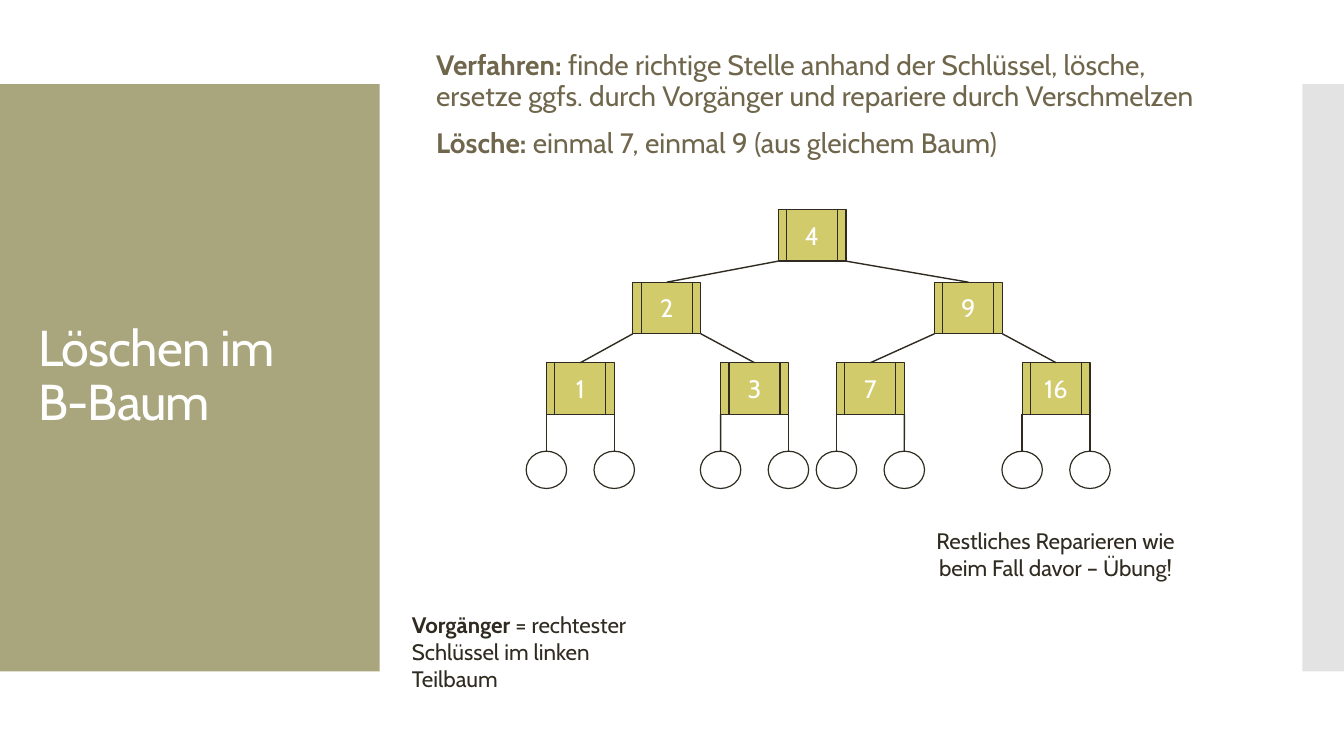
"""Builds the slide on deleting keys in a B-tree."""
from lxml import etree
from pptx import Presentation
from pptx.dml.color import RGBColor
from pptx.enum.shapes import MSO_CONNECTOR, MSO_SHAPE
from pptx.enum.text import MSO_ANCHOR, PP_ALIGN
from pptx.oxml.ns import qn
from pptx.util import Cm, Pt

RECTANGLE = MSO_SHAPE.RECTANGLE
KEY_BOX = MSO_SHAPE.FLOWCHART_PREDEFINED_PROCESS
CIRCLE = MSO_SHAPE.OVAL
STRAIGHT = MSO_CONNECTOR.STRAIGHT
TOP, MIDDLE = MSO_ANCHOR.TOP, MSO_ANCHOR.MIDDLE
LEFT, CENTER = PP_ALIGN.LEFT, PP_ALIGN.CENTER

COLORS = {
    "panel": "A9A57C", "strip": "C8C8C8", "key": "D2CB6C",
    "ink": "2F2B20", "intro": "6F664C", "white": "FFFFFF",
}
FONT = "Cabin"
KEY_W, KEY_H = 1.71, 1.3
LEAF_W, LEAF_H = 1.02, 0.94
LEVEL_TOPS = (5.28, 7.11, 9.14)
LEAF_TOP = 11.37
TREE = (
    "4", 19.61,
    ("2", 15.95, ("1", 13.77), ("3", 18.16)),
    ("9", 23.55, ("7", 21.08), ("16", 25.76)),
)


def rgb(name):
    return RGBColor.from_string(COLORS[name])


def write(frame, *paragraphs, size, color, align=LEFT, anchor=TOP,
          line_spacing=None, space_before=0, tracking=None):
    """Fill a text frame; each paragraph is a list of (text, bold) runs."""
    frame.word_wrap = True
    frame.vertical_anchor = anchor
    for index, pieces in enumerate(paragraphs):
        paragraph = frame.add_paragraph() if index else frame.paragraphs[0]
        paragraph.alignment = align
        paragraph.line_spacing = line_spacing
        paragraph.space_before = Pt(space_before)
        for text, bold in pieces:
            run = paragraph.add_run()
            run.text = text
            run.font.name = FONT
            run.font.size = Pt(size)
            run.font.bold = bold
            run.font.color.rgb = rgb(color)
            if tracking:
                run._r.get_or_add_rPr().set("spc", str(tracking))


def add_text(slide, left, top, width, height, *paragraphs, **style):
    box = slide.shapes.add_textbox(Cm(left), Cm(top), Cm(width), Cm(height))
    write(box.text_frame, *paragraphs, **style)
    return box


def add_block(slide, kind, left, top, width, height, fill, outline=None):
    block = slide.shapes.add_shape(kind, Cm(left), Cm(top), Cm(width), Cm(height))
    block.shadow.inherit = False
    block.fill.solid()
    block.fill.fore_color.rgb = rgb(fill)
    if outline:
        block.line.color.rgb = rgb(outline)
        block.line.width = Pt(0.85)
    else:
        block.line.fill.background()
    return block


def add_branch(slide, x, y, child):
    """Draw a line from a corner of a key box to the top of its child."""
    branch = slide.shapes.add_connector(STRAIGHT, Cm(x), Cm(y), Cm(x), Cm(y))
    branch.end_connect(child, 0)
    branch.line.color.rgb = rgb("ink")
    branch.line.width = Pt(1)
    etree.SubElement(branch._element.spPr, qn("a:effectLst"))


def add_tree(slide, node, level=0):
    """Draw a node with everything below it and return its key box."""
    key, left, *subtrees = node
    top = LEVEL_TOPS[level]
    key_box = add_block(slide, KEY_BOX, left, top, KEY_W, KEY_H, "key", "ink")
    write(key_box.text_frame, [(key, False)], size=18, color="white",
          align=CENTER, anchor=MIDDLE)
    for side, corner in enumerate((left, left + KEY_W)):
        if subtrees:
            child = add_tree(slide, subtrees[side], level + 1)
        else:
            child = add_block(slide, CIRCLE, corner - LEAF_W / 2, LEAF_TOP,
                              LEAF_W, LEAF_H, "white", "ink")
        add_branch(slide, corner, top + KEY_H, child)
    return key_box


def main():
    deck = Presentation()
    deck.slide_width, deck.slide_height = Cm(33.87), Cm(19.05)
    slide = deck.slides.add_slide(deck.slide_layouts[6])

    add_block(slide, RECTANGLE, 0, 2.12, 9.57, 14.8, "panel")
    strip = add_block(slide, RECTANGLE, 32.82, 2.12, 1.05, 14.8, "strip")
    strip_color = strip.fill._xPr.find(qn("a:solidFill"))[0]
    etree.SubElement(strip_color, qn("a:alpha"), val="50000")

    title = add_text(slide, 0.71, 3.12, 8.18, 12.78, [("Löschen im B-Baum", False)],
                     size=36, color="white", anchor=MIDDLE, line_spacing=0.9,
                     tracking=-60)
    title.text_frame.margin_right = Cm(1)
    add_text(slide, 10.74, 0.84, 20.32, 3.63,
             [("Verfahren:", True),
              (" finde richtige Stelle anhand der Schlüssel, lösche, ersetze ggfs. "
               "durch Vorgänger und repariere durch Verschmelzen", False)],
             [("Lösche: ", True), ("einmal 7, einmal 9 (aus gleichem Baum)", False)],
             size=20, color="intro", anchor=MIDDLE, line_spacing=0.9, space_before=12)
    add_tree(slide, TREE)
    add_text(slide, 10.13, 15.27, 7.19, 1.63,
             [("Vorgänger", True),
              (" = rechtester Schlüssel im linken Teilbaum", False)],
             size=16, color="ink")
    add_text(slide, 22.86, 13.16, 7.49, 1.63,
             [("Restliches Reparieren wie beim Fall davor – Übung!", False)],
             size=16, color="ink", align=CENTER)
    deck.save("out.pptx")


if __name__ == "__main__":
    main()
